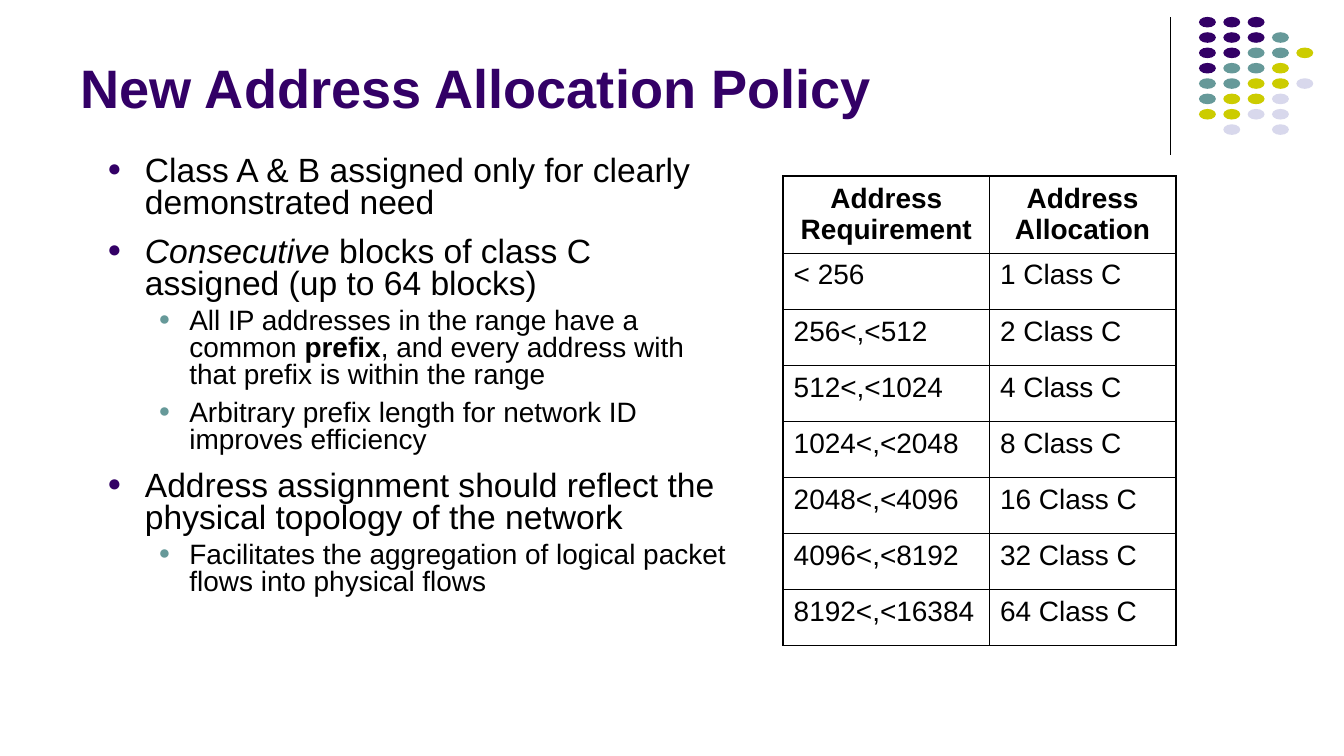
from lxml.etree import SubElement
from pptx import Presentation
from pptx.dml.color import RGBColor
from pptx.enum.shapes import MSO_CONNECTOR, MSO_SHAPE
from pptx.enum.text import MSO_ANCHOR, MSO_AUTO_SIZE, PP_ALIGN
from pptx.oxml import parse_xml
from pptx.oxml.ns import nsdecls, qn
from pptx.util import Cm, Pt

PURPLE, TEAL, OLIVE, LILAC, BLACK = "330066", "669999", "CCCC00", "D8D8EC", "000000"
FONT = "Arial"
SLIDE_WIDTH = 25.4

TITLE = "New Address Allocation Policy"

# (level, space before in points, [(text, font format), ...])
POINTS = [
    (0, 0, [("Class A & B assigned only for clearly demonstrated need", {})]),
    (0, 9, [("Consecutive", {"italic": True}),
            (" blocks of class C assigned (up to 64 blocks)", {})]),
    (1, 3.7, [("All IP addresses in the range have a common ", {}),
              ("prefix", {"bold": True}),
              (", and every address with that prefix is within the range", {})]),
    (1, 6, [("Arbitrary prefix length for network ID improves efficiency", {})]),
    (0, 9, [("Address assignment should reflect the physical topology "
             "of the network", {})]),
    (1, 3.7, [("Facilitates the aggregation of logical packet flows "
               "into physical flows", {})]),
]
LEVELS = [
    {"size": 18, "margin": 0.71, "hanging": 0.71, "bullet": PURPLE},
    {"size": 15, "margin": 1.55, "hanging": 0.58, "bullet": TEAL},
]

ALLOCATIONS = [
    ("Address Requirement", "Address Allocation"),
    ("< 256", "1 Class C"),
    ("256<,<512", "2 Class C"),
    ("512<,<1024", "4 Class C"),
    ("1024<,<2048", "8 Class C"),
    ("2048<,<4096", "16 Class C"),
    ("4096<,<8192", "32 Class C"),
    ("8192<,<16384", "64 Class C"),
]
COLUMN_WIDTHS = (3.9, 3.52)
HEADER_HEIGHT, ROW_HEIGHT = 1.45, 1.06
OUTER_BORDER, INNER_BORDER = 1.08, 0.45

DOT_COLORS = {"P": PURPLE, "T": TEAL, "O": OLIVE, "L": LILAC}
DOT_ROWS = ["PPP", "PPPT", "PPTTO", "PTTO", "TTOOL", "TOOL", "OOLL", " L L"]
DOT_LEFT, DOT_TOP = 22.66, 0.32
DOT_PITCH_X, DOT_PITCH_Y = 0.46, 0.29
DOT_WIDTH, DOT_HEIGHT = 0.32, 0.2


def rgb(color):
    return RGBColor.from_string(color)


def add_run(paragraph, text, size, color=BLACK, **font_format):
    run = paragraph.add_run()
    run.text = text
    values = {"name": FONT, "size": Pt(size), "bold": False, **font_format}
    for name, value in values.items():
        setattr(run.font, name, value)
    run.font.color.rgb = rgb(color)


def add_bullet(paragraph, margin, hanging, color):
    properties = paragraph._p.get_or_add_pPr()
    properties.set("marL", str(Cm(margin)))
    properties.set("indent", str(-Cm(hanging)))
    bullet_color = SubElement(properties, qn("a:buClr"))
    SubElement(bullet_color, qn("a:srgbClr"), val=color)
    SubElement(properties, qn("a:buSzPct"), val="70000")
    SubElement(properties, qn("a:buFont"), typeface=FONT)
    SubElement(properties, qn("a:buChar"), char="●")


def set_borders(cell, widths):
    """Draw black borders; widths are points for left, right, top, bottom."""
    properties = cell._tc.get_or_add_tcPr()
    for position, (side, width) in enumerate(zip("LRTB", widths)):
        properties.insert(position, parse_xml(
            f'<a:ln{side} {nsdecls("a")} w="{Pt(width)}"><a:solidFill>'
            f'<a:srgbClr val="{BLACK}"/></a:solidFill></a:ln{side}>'))


def add_decoration(slide):
    rule = slide.shapes.add_connector(
        MSO_CONNECTOR.STRAIGHT, Cm(22.12), Cm(0.33), Cm(22.12), Cm(2.92))
    rule.line.color.rgb = rgb(BLACK)
    rule.line.width = Pt(0.75)
    SubElement(rule._element.spPr, qn("a:effectLst"))

    for row, codes in enumerate(DOT_ROWS):
        for column, code in enumerate(codes):
            if code == " ":
                continue
            dot = slide.shapes.add_shape(
                MSO_SHAPE.OVAL,
                Cm(DOT_LEFT + column * DOT_PITCH_X), Cm(DOT_TOP + row * DOT_PITCH_Y),
                Cm(DOT_WIDTH), Cm(DOT_HEIGHT))
            dot.shadow.inherit = False
            dot.fill.solid()
            dot.fill.fore_color.rgb = rgb(DOT_COLORS[code])
            dot.line.fill.background()


def add_title(slide):
    title = slide.shapes.title
    place = {"left": 1.27, "top": 0.25, "width": 20.96, "height": 2.13}
    for name, value in place.items():
        setattr(title, name, Cm(value))
    frame = title.text_frame
    frame.auto_size = MSO_AUTO_SIZE.NONE
    frame.vertical_anchor = MSO_ANCHOR.BOTTOM
    frame.paragraphs[0].alignment = PP_ALIGN.LEFT
    add_run(frame.paragraphs[0], TITLE, 29, PURPLE, bold=True)


def add_points(slide):
    frame = slide.shapes.add_textbox(Cm(1.78), Cm(2.83), Cm(12.24), Cm(9)).text_frame
    frame.word_wrap = True
    for index, (level, space_before, runs) in enumerate(POINTS):
        paragraph = frame.add_paragraph() if index else frame.paragraphs[0]
        style = LEVELS[level]
        add_bullet(paragraph, style["margin"], style["hanging"], style["bullet"])
        paragraph.level = level
        paragraph.line_spacing = 0.8
        paragraph.space_before = Pt(space_before)
        for text, font_format in runs:
            add_run(paragraph, text, style["size"], **font_format)


def add_allocations(slide):
    last_row, last_column = len(ALLOCATIONS) - 1, len(COLUMN_WIDTHS) - 1
    table = slide.shapes.add_table(
        len(ALLOCATIONS), len(COLUMN_WIDTHS), Cm(14.8), Cm(3.33),
        Cm(sum(COLUMN_WIDTHS)), Cm(HEADER_HEIGHT + last_row * ROW_HEIGHT)).table
    table.first_row = table.horz_banding = False
    for column, width in zip(table.columns, COLUMN_WIDTHS):
        column.width = Cm(width)
    for r, entries in enumerate(ALLOCATIONS):
        is_header = r == 0
        table.rows[r].height = Cm(HEADER_HEIGHT if is_header else ROW_HEIGHT)
        for c, text in enumerate(entries):
            cell = table.cell(r, c)
            cell.margin_left = cell.margin_right = Cm(0.2)
            cell.margin_bottom = Cm(0 if is_header else 0.12)
            cell.fill.background()
            on_edge = (c == 0, c == last_column, is_header, r == last_row)
            set_borders(cell, [OUTER_BORDER if edge else INNER_BORDER
                               for edge in on_edge])
            paragraph = cell.text_frame.paragraphs[0]
            paragraph.alignment = PP_ALIGN.CENTER if is_header else PP_ALIGN.LEFT
            add_run(paragraph, text, 15, bold=is_header)


def main():
    deck = Presentation()
    deck.slide_width, deck.slide_height = Cm(SLIDE_WIDTH), Cm(SLIDE_WIDTH * 9 / 16)
    slide = deck.slides.add_slide(deck.slide_layouts[5])
    add_decoration(slide)
    add_points(slide)
    add_allocations(slide)
    add_title(slide)
    deck.save("out.pptx")


if __name__ == "__main__":
    main()
